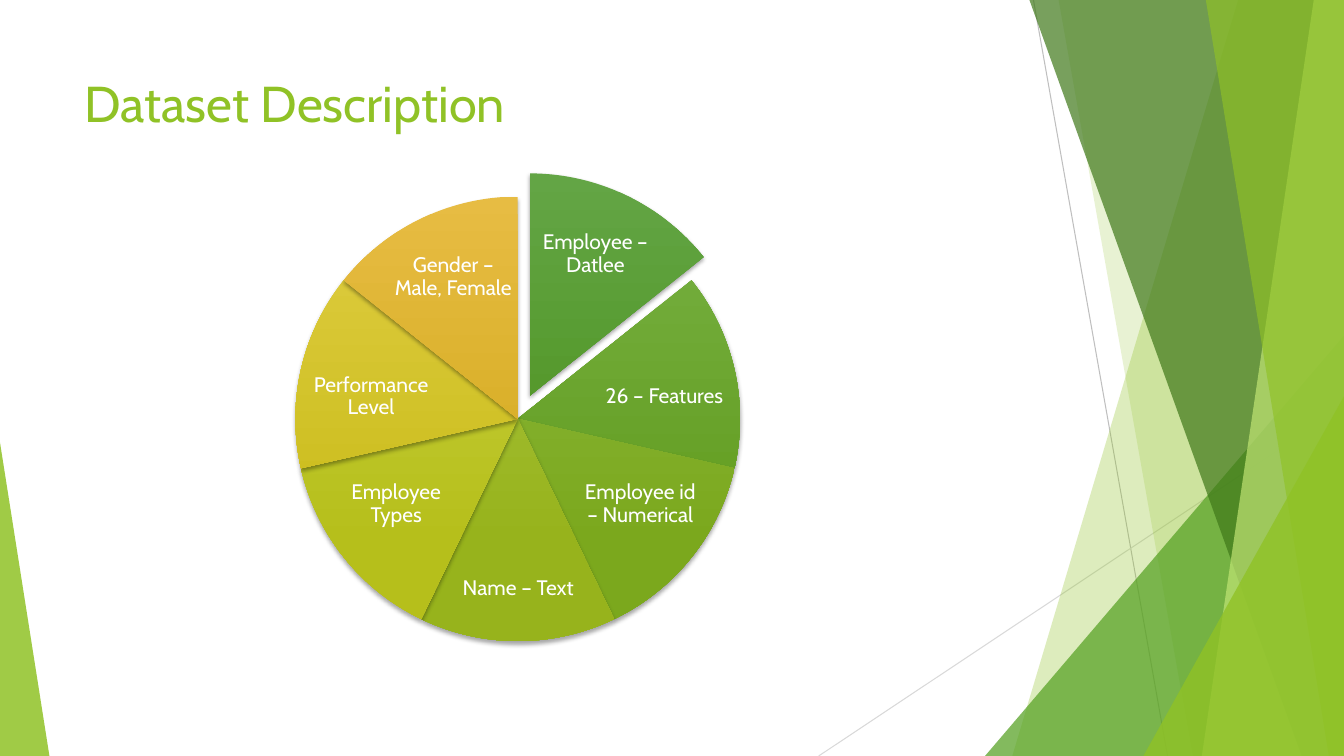
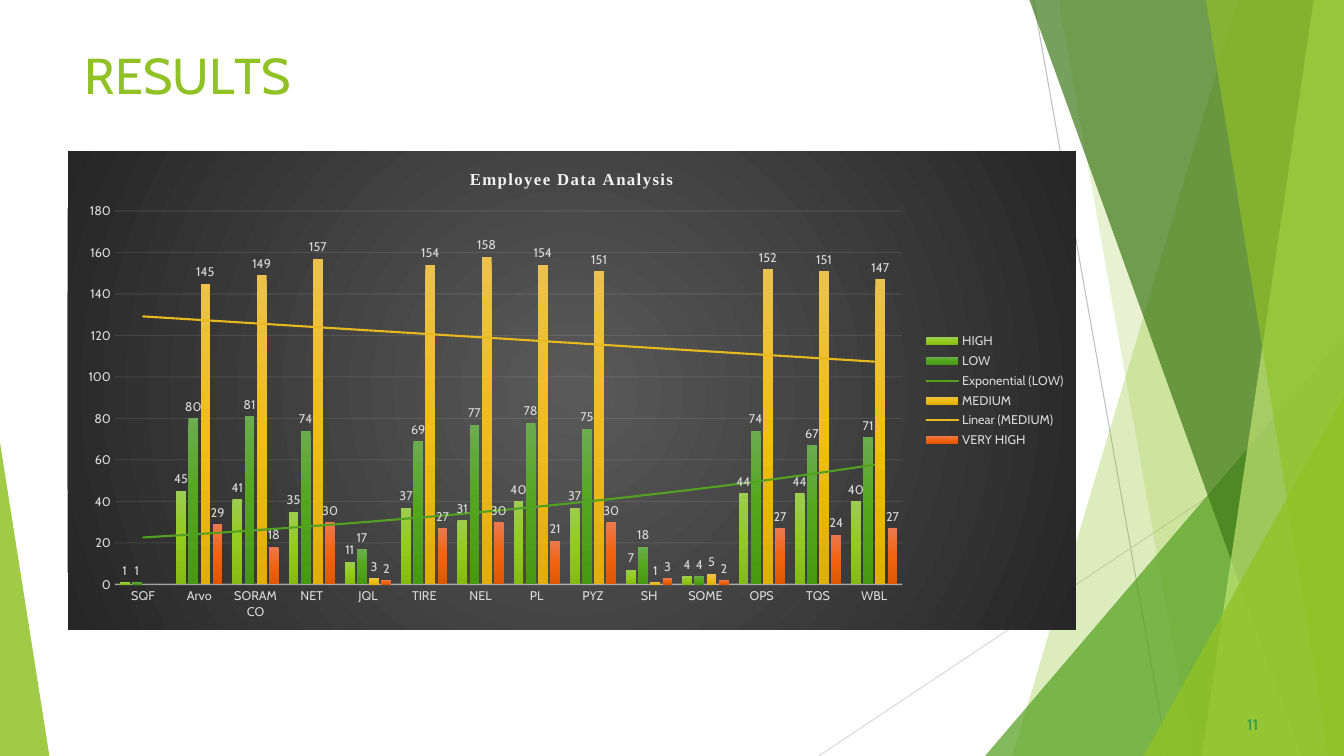
"""Builds the two slides on the employee dataset and its results."""
from lxml.etree import SubElement
from pptx import Presentation
from pptx.chart.data import CategoryChartData
from pptx.dml.color import RGBColor
from pptx.enum.chart import XL_CHART_TYPE, XL_LABEL_POSITION, XL_LEGEND_POSITION, XL_TICK_MARK
from pptx.enum.shapes import MSO_CONNECTOR, MSO_SHAPE
from pptx.enum.text import MSO_ANCHOR, PP_ALIGN
from pptx.oxml import parse_xml
from pptx.oxml.ns import nsdecls, qn
from pptx.util import Inches, Pt

WIDTH, HEIGHT = 13.33, 7.5
FONT = "Cabin"
COLORS = {
    "lime": "90C226", "green": "54A021", "forest": "3F7819", "pale": "C0E474",
    "gold": "E6B91E", "teal": "2D936B", "white": "FFFFFF", "silver": "BFBFBF",
    "mist": "D9D9D9", "light": "F2F2F2", "gray": "595959", "charcoal": "262626",
}
RAYS = [("silver", 10.25, 0, 11.58, HEIGHT), ("mist", WIDTH, 4.03, 8.12, HEIGHT)]
FACETS = [
    ("band", 12.28, 10.04, "lime", 30),
    ("band", 10.5, 11.83, "lime", 20),
    ("triangle", 9.77, 3.33, 3.56, 1, "green", 72),
    ("band", 10.21, 12.91, "forest", 70),
    ("band", 13.03, 11.92, "pale", 70),
    ("band", 11.96, 13.18, "lime", 65),
    ("triangle", 11.34, 3.93, 1.99, 1, "lime", 80),
    ("triangle", 0, 4.39, 0.49, 0, "lime", 85),
]
SLICES = [
    ("Employee – Datlee", "63A545", "4D921E", 5.3, 2.14, 1.21, 0.76),
    ("26 – Features", "77B044", "629D1E", 5.95, 3.53, 1.28, 0.81),
    ("Employee id – Numerical", "8EBB44", "7BA81D", 5.77, 4.58, 1.16, 0.84),
    ("Name – Text", "AAC744", "97B31C", 4.55, 5.42, 1.18, 0.84),
    ("Employee Types", "CAD243", "B6BF1B", 3.35, 4.58, 1.16, 0.84),
    ("Performance Level", "DFCE43", "CABB19", 3.04, 3.53, 1.28, 0.81),
    ("Gender – Male, Female", "E7BC43", "D2A91B", 3.89, 2.37, 1.21, 0.76),
]
COMPANIES = ["SQF", "Arvo", "SORAM CO", "NET", "JQL", "TIRE", "NEL",
             "PL", "PYZ", "SH", "SOME", "OPS", "TQS", "WBL"]
LEVELS = [
    ("HIGH", [1, 45, 41, 35, 11, 37, 31, 40, 37, 7, 4, 44, 44, 40],
     ("9DCC51", "93CA1E", "85BA14"), None),
    ("LOW", [1, 80, 81, 74, 17, 69, 77, 78, 75, 18, 4, 74, 67, 71],
     ("6BAC4F", "53A61B", "489912"), ("exp", "green")),
    ("MEDIUM", [None, 145, 149, 157, 3, 154, 158, 154, 151, 1, 5, 152, 151, 147],
     ("EBC14F", "F0BE14", "E0AF07"), ("linear", "gold")),
    ("VERY HIGH", [None, 29, 18, 30, 2, 27, 30, 21, 30, 3, 2, 27, 24, 27],
     ("EC794E", "F1630E", "E05603"), None),
]


def rgb(name):
    return RGBColor.from_string(COLORS[name])


def fade(element, percent):
    for color in element.iter(qn("a:srgbClr")):
        SubElement(color, qn("a:alpha")).set("val", str(percent * 1000))


def gradient_xml(stops, direction='<a:lin ang="5400000" scaled="0"/>'):
    marks = "".join(f'<a:gs pos="{place * 1000}"><a:srgbClr val="{color}"/></a:gs>'
                    for place, color in stops)
    return f'<a:gradFill {nsdecls("a")}><a:gsLst>{marks}</a:gsLst>{direction}</a:gradFill>'


def paint_gradient(fill, element, stops):
    fill.background()
    blank = element.find(".//" + qn("a:noFill"))
    blank.getparent().replace(blank, parse_xml(gradient_xml(stops)))


def style_font(font, size, color, name=FONT):
    font.size = Pt(size)
    font.name = name
    font.color.rgb = rgb(color)


class Deck:
    def __init__(self):
        self.presentation = Presentation()
        self.presentation.slide_width = Inches(WIDTH)
        self.presentation.slide_height = Inches(HEIGHT)
        self.slide = None

    def add_slide(self):
        self.slide = self.presentation.slides.add_slide(self.presentation.slide_layouts[6])
        for ray in RAYS:
            self.ray(*ray)
        for kind, *values in FACETS:
            if kind == "band":
                self.band(*values)
            else:
                self.triangle(*values)

    def ray(self, color, *ends):
        connector = self.slide.shapes.add_connector(MSO_CONNECTOR.STRAIGHT, *map(Inches, ends))
        connector.line.color.rgb = rgb(color)
        connector.line.width = Pt(0.75)
        SubElement(connector._element.spPr, qn("a:effectLst"))

    def finish_facet(self, shape, color, opacity):
        shape.shadow.inherit = False
        shape.fill.solid()
        shape.fill.fore_color.rgb = rgb(color)
        fade(shape._element.spPr, opacity)
        shape.line.fill.background()

    def band(self, top_left, bottom_left, color, opacity):
        corners = [(Inches(x), Inches(y)) for x, y in
                   [(WIDTH, 0), (WIDTH, HEIGHT), (bottom_left, HEIGHT)]]
        builder = self.slide.shapes.build_freeform(Inches(top_left), 0)
        builder.add_line_segments(corners, close=True)
        self.finish_facet(builder.convert_to_shape(), color, opacity)

    def triangle(self, left, top, width, apex, color, opacity):
        shape = self.slide.shapes.add_shape(
            MSO_SHAPE.ISOSCELES_TRIANGLE, *map(Inches, (left, top, width, HEIGHT - top)))
        shape.adjustments[0] = apex
        self.finish_facet(shape, color, opacity)

    def text(self, runs, box, size, color, inset=0):
        shape = self.slide.shapes.add_textbox(*map(Inches, box))
        frame = shape.text_frame
        frame.word_wrap = True
        frame.margin_left = frame.margin_right = Inches(inset)
        frame.margin_top = frame.margin_bottom = Inches(inset)
        for words, spacing in runs:
            run = frame.paragraphs[0].add_run()
            run.text = words
            style_font(run.font, size, color)
            if spacing:
                run._r.get_or_add_rPr().set("spc", str(round(spacing * 100)))
        return frame

    def title(self, runs, top):
        self.text(runs, (0.84, top, 9.2, 0.8), 36, "lime")

    def page_number(self, number):
        self.text([(number, 0.1)], (12.37, 7.09, 0.4, 0.21), 11, "teal")

    def pie_slice(self, left, top, size, start, end, stops):
        shape = self.slide.shapes.add_shape(MSO_SHAPE.PIE, *map(Inches, (left, top, size, size)))
        shape.adjustments[0], shape.adjustments[1] = start, end
        paint_gradient(shape.fill, shape._element, stops)
        shape.line.fill.background()
        shape.shadow.inherit = False
        effects = shape._element.spPr.find(qn("a:effectLst"))
        effects.append(parse_xml(
            f'<a:outerShdw {nsdecls("a")} blurRad="{Pt(3)}" dist="{Pt(2)}" dir="5400000" '
            'rotWithShape="0"><a:srgbClr val="000000"><a:alpha val="35000"/></a:srgbClr>'
            '</a:outerShdw>'))

    def slice_label(self, words, box):
        frame = self.text([(words, 0)], box, 15, "white", inset=0.02)
        frame.vertical_anchor = MSO_ANCHOR.MIDDLE
        frame.paragraphs[0].alignment = PP_ALIGN.CENTER
        frame.paragraphs[0].line_spacing = 0.9

    def pie(self, slices):
        step = 216 / len(slices)
        for index, (words, light, dark, *box) in enumerate(slices):
            left, top = (2.93, 1.95) if index else (3.05, 1.72)
            start = (162 + index * step) % 216
            self.pie_slice(left, top, 4.41, start, (start + step) % 216,
                           [(0, light), (78, dark)])
            self.slice_label(words, box)

    def column_chart(self, heading, categories, levels, box):
        data = CategoryChartData()
        data.categories = categories
        for name, values, *_ in levels:
            data.add_series(name, values)
        chart = self.slide.shapes.add_chart(
            XL_CHART_TYPE.COLUMN_CLUSTERED, *map(Inches, box), data).chart
        style_font(chart.font, 9, "mist")
        self.chart_frame(chart, heading)
        self.chart_axes(chart)
        plot = chart.plots[0]
        plot.gap_width, plot.overlap = 100, -24
        plot.vary_by_categories = False
        for series, (_, _, shades, trend) in zip(plot.series, levels):
            paint_gradient(series.format.fill, series._element, list(zip((0, 50, 100), shades)))
            series.invert_if_negative = False
            labels = series.data_labels
            labels.show_value = True
            labels.position = XL_LABEL_POSITION.OUTSIDE_END
            style_font(labels.font, 9, "mist")
            if trend:
                self.trend_line(series, *trend)

    def chart_frame(self, chart, heading):
        chart.has_title = True
        run = chart.chart_title.text_frame.paragraphs[0].add_run()
        run.text = heading
        style_font(run.font, 12, "light", "Times New Roman")
        run.font.bold = True
        run._r.get_or_add_rPr().set("spc", "100")
        chart.chart_title.include_in_layout = False
        chart.has_legend = True
        chart.legend.position = XL_LEGEND_POSITION.RIGHT
        chart.legend.include_in_layout = False
        style_font(chart.legend.font, 9, "mist")
        body = chart._chartSpace.find(qn("c:chart"))
        glow = gradient_xml(
            [(0, COLORS["gray"]), (100, COLORS["charcoal"])],
            '<a:path path="circle"><a:fillToRect l="50000" t="50000" r="50000" b="50000"/></a:path>')
        body.addnext(parse_xml(
            f'<c:spPr {nsdecls("c", "a")}>{glow}<a:ln><a:noFill/></a:ln></c:spPr>'))
        plot_area = body.find(qn("c:plotArea"))
        for layout in plot_area.findall(qn("c:layout")):
            plot_area.remove(layout)
        sizes = "".join(f'<c:{key} val="{value}"/>' for key, value in
                        [("x", 0.047), ("y", 0.125), ("w", 0.781), ("h", 0.78)])
        plot_area.insert(0, parse_xml(
            f'<c:layout {nsdecls("c")}><c:manualLayout><c:layoutTarget val="inner"/>'
            f'<c:xMode val="edge"/><c:yMode val="edge"/>{sizes}</c:manualLayout></c:layout>'))

    def chart_axes(self, chart):
        category, value = chart.category_axis, chart.value_axis
        value.minimum_scale, value.maximum_scale, value.major_unit = 0, 180, 20
        value.has_major_gridlines = True
        value.format.line.fill.background()
        for axis, line, width, opacity in [
                (category, category.format.line, 1, 54),
                (value, value.major_gridlines.format.line, 0.75, 10)]:
            line.color.rgb = rgb("light")
            line.width = Pt(width)
            fade(axis._element, opacity)
            axis.major_tick_mark = axis.minor_tick_mark = XL_TICK_MARK.NONE
            style_font(axis.tick_labels.font, 9, "mist")

    def trend_line(self, series, kind, color):
        series._element.find(qn("c:cat")).addprevious(parse_xml(
            f'<c:trendline {nsdecls("c", "a")}><c:spPr><a:ln w="{Pt(1.5)}" cap="rnd"><a:solidFill>'
            f'<a:srgbClr val="{COLORS[color]}"/></a:solidFill></a:ln></c:spPr>'
            f'<c:trendlineType val="{kind}"/><c:dispRSqr val="0"/><c:dispEq val="0"/>'
            '</c:trendline>'))


def main():
    deck = Deck()
    deck.add_slide()
    deck.title([("Dataset Description", 0)], 0.72)
    deck.pie(SLICES)
    deck.add_slide()
    deck.title([("R", 0), ("E", -0.4), ("S", 0.1), ("U", -0.3), ("L", -4), ("TS", 0)], 0.44)
    deck.page_number("11")
    deck.column_chart("Employee Data Analysis", COMPANIES, LEVELS, (0.67, 1.5, 10, 4.75))
    deck.presentation.save("out.pptx")


if __name__ == "__main__":
    main()
